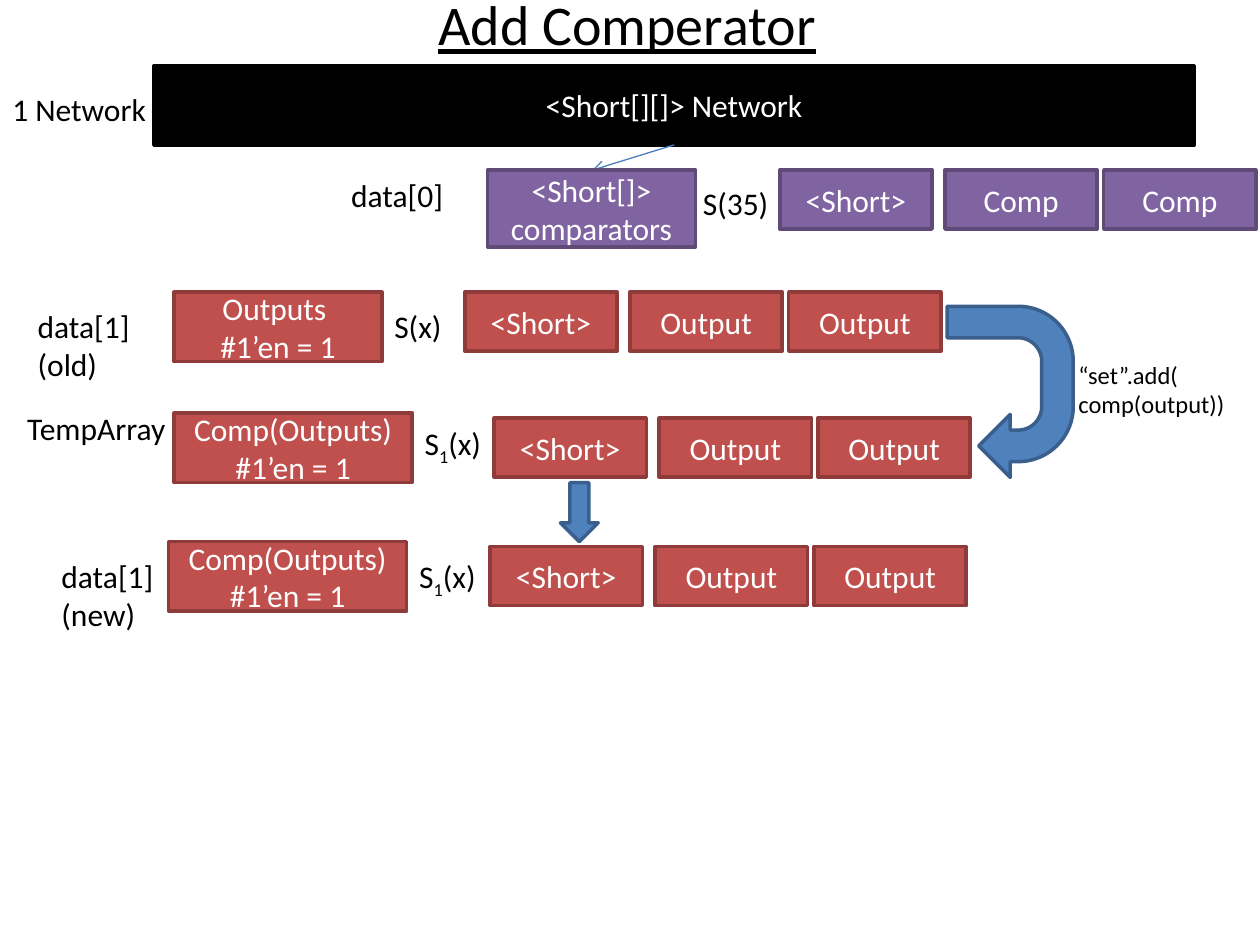
from dataclasses import dataclass

from lxml import etree
from pptx import Presentation
from pptx.dml.color import RGBColor
from pptx.enum.shapes import MSO_CONNECTOR, MSO_SHAPE
from pptx.enum.text import MSO_ANCHOR, PP_ALIGN
from pptx.oxml.ns import qn
from pptx.util import Cm, Pt

RECTANGLE = MSO_SHAPE.RECTANGLE
DOWN_ARROW = MSO_SHAPE.DOWN_ARROW
U_TURN_ARROW = MSO_SHAPE.U_TURN_ARROW
STRAIGHT = MSO_CONNECTOR.STRAIGHT
TOP, MIDDLE, BOTTOM = MSO_ANCHOR.TOP, MSO_ANCHOR.MIDDLE, MSO_ANCHOR.BOTTOM
LEFT, CENTER = PP_ALIGN.LEFT, PP_ALIGN.CENTER

COLORS = {
    "black": "000000", "white": "FFFFFF",
    "purple": "8064A2", "purple_edge": "5F4A78",
    "red": "C0504D", "red_edge": "8E3B39",
    "blue": "4F81BD", "blue_edge": "3A5F8C", "link": "4B7EBC",
}
CELL_WIDTH, CELL_HEIGHT = 3.07, 1.19
CELL_OFFSETS = (0, 3.33, 6.53)


@dataclass(frozen=True)
class Area:
    """A place on the slide in centimetres."""
    left: float
    top: float
    width: float
    height: float


@dataclass(frozen=True)
class Label:
    """Plain text; parts between bars alternate with subscripts."""
    text: str
    area: Area
    size: int = 18
    underline: bool = False
    anchor: MSO_ANCHOR = TOP


@dataclass(frozen=True)
class ArrayRow:
    """An array header followed by its three cells."""
    header: str
    area: Area
    cells: tuple[str, str, str]
    cells_left: float
    cells_top: float
    color: str


ROWS = (
    ArrayRow("<Short[]> comparators", Area(9.83, 3.43, 4.19, 1.55),
             ("<Short>", "Comp", "Comp"), 15.72, 3.43, "purple"),
    ArrayRow("Outputs \n#1’en = 1", Area(3.51, 5.89, 4.19, 1.4),
             ("<Short>", "Output", "Output"), 9.37, 5.89, "red"),
    ArrayRow("Comp(Outputs)\n#1’en = 1", Area(3.51, 8.33, 4.8, 1.4),
             ("<Short>", "Output", "Output"), 9.96, 8.43, "red"),
    ArrayRow("Comp(Outputs)\n#1’en = 1", Area(3.4, 10.92, 4.8, 1.4),
             ("<Short>", "Output", "Output"), 9.88, 11.02, "red"),
)

LABELS = (
    Label("Add Comperator", Area(8.59, -0.33, 10.21, 1.63), 32, True),
    Label("1 Network", Area(0, 1.7, 3.4, 1.02)),
    Label("data[0]", Area(6.83, 3.43, 2.39, 1.02)),
    Label("S(35)", Area(13.92, 3.58, 1.85, 1.02)),
    Label("data[1]\n(old)", Area(0.51, 6.07, 2.39, 1.8)),
    Label("S(x)", Area(7.7, 6.07, 1.68, 1.02)),
    Label("TempArray", Area(0.3, 8.13, 3.4, 1.02)),
    Label("S|1|(x)", Area(8.31, 8.43, 2.01, 1.02)),
    Label("data[1]\n(new)", Area(0.99, 11.1, 2.39, 1.8)),
    Label("S|1|(x)", Area(8.2, 11.1, 1.96, 1.02)),
    Label("“set”.add(\ncomp(output))", Area(21.49, 5.92, 3.91, 2.64), 14,
          anchor=BOTTOM),
)


def rgb(name: str) -> RGBColor:
    """Look up a named colour."""
    return RGBColor.from_string(COLORS[name])


def box(area: Area) -> tuple[Cm, Cm, Cm, Cm]:
    """Convert an area to slide lengths."""
    return Cm(area.left), Cm(area.top), Cm(area.width), Cm(area.height)


def write(frame, text: str, color: str, size: int = 18,
          underline: bool = False, anchor=MIDDLE, align=CENTER) -> None:
    """Write text with line breaks and subscripts into a frame."""
    for name, value in {"word_wrap": True, "vertical_anchor": anchor}.items():
        setattr(frame, name, value)
    paragraph = frame.paragraphs[0]
    paragraph.alignment = align
    font_format = {"name": "Calibri", "size": Pt(size), "underline": underline}
    for part_index, part in enumerate(text.split("|")):
        for line_index, line in enumerate(part.split("\n")):
            if line_index:
                paragraph.add_line_break()
                etree.SubElement(paragraph._p[-1], qn("a:rPr"), sz=str(size * 100))
            run = paragraph.add_run()
            run.text = line
            for name, value in font_format.items():
                setattr(run.font, name, value)
            run.font.color.rgb = rgb(color)
            if part_index % 2:
                run._r.get_or_add_rPr().set("baseline", "-25000")


def draw_shape(slide, kind, area: Area, fill: str, edge: str,
               text: str = "", rotation: float = 0) -> None:
    """Draw a filled preset shape with optional centred text."""
    shape = slide.shapes.add_shape(kind, *box(area))
    shape.shadow.inherit = False
    shape.rotation = rotation
    shape.fill.solid()
    shape.fill.fore_color.rgb = rgb(fill)
    shape.line.color.rgb = rgb(edge)
    shape.line.width = Pt(2)
    if text:
        write(shape.text_frame, text, "white")


def draw_row(slide, row: ArrayRow) -> None:
    """Draw an array header and its cells."""
    edge = f"{row.color}_edge"
    draw_shape(slide, RECTANGLE, row.area, row.color, edge, row.header)
    for offset, cell in zip(CELL_OFFSETS, row.cells):
        area = Area(row.cells_left + offset, row.cells_top, CELL_WIDTH, CELL_HEIGHT)
        draw_shape(slide, RECTANGLE, area, row.color, edge, cell)


def draw_label(slide, label: Label) -> None:
    """Draw a text label."""
    frame = slide.shapes.add_textbox(*box(label.area)).text_frame
    write(frame, label.text, "black", label.size, label.underline,
          label.anchor, LEFT)


def draw_link(slide, start: tuple[float, float], end: tuple[float, float]) -> None:
    """Draw a thin line with an open arrowhead at its end."""
    link = slide.shapes.add_connector(STRAIGHT, *map(Cm, start + end))
    link.line.color.rgb = rgb("link")
    link.line.width = Pt(0.75)
    etree.SubElement(link.line._get_or_add_ln(), qn("a:tailEnd"), type="arrow")
    etree.SubElement(link._element.spPr, qn("a:effectLst"))


def main() -> None:
    """Build the comparator slide and save it."""
    deck = Presentation()
    deck.slide_width, deck.slide_height = Cm(25.4), Cm(19.05)
    slide = deck.slides.add_slide(deck.slide_layouts[6])
    draw_shape(slide, RECTANGLE, Area(3.1, 1.32, 20.98, 1.6),
               "black", "black", "<Short[][]> Network")
    draw_link(slide, (13.59, 2.92), (11.94, 3.43))
    for row in ROWS:
        draw_row(slide, row)
    draw_shape(slide, U_TURN_ARROW, Area(18.64, 6.63, 3.45, 2.54),
               "blue", "blue_edge", rotation=90)
    draw_shape(slide, DOWN_ARROW, Area(11.3, 9.73, 0.76, 1.19),
               "blue", "blue_edge")
    for label in LABELS:
        draw_label(slide, label)
    deck.save("out.pptx")


main()
